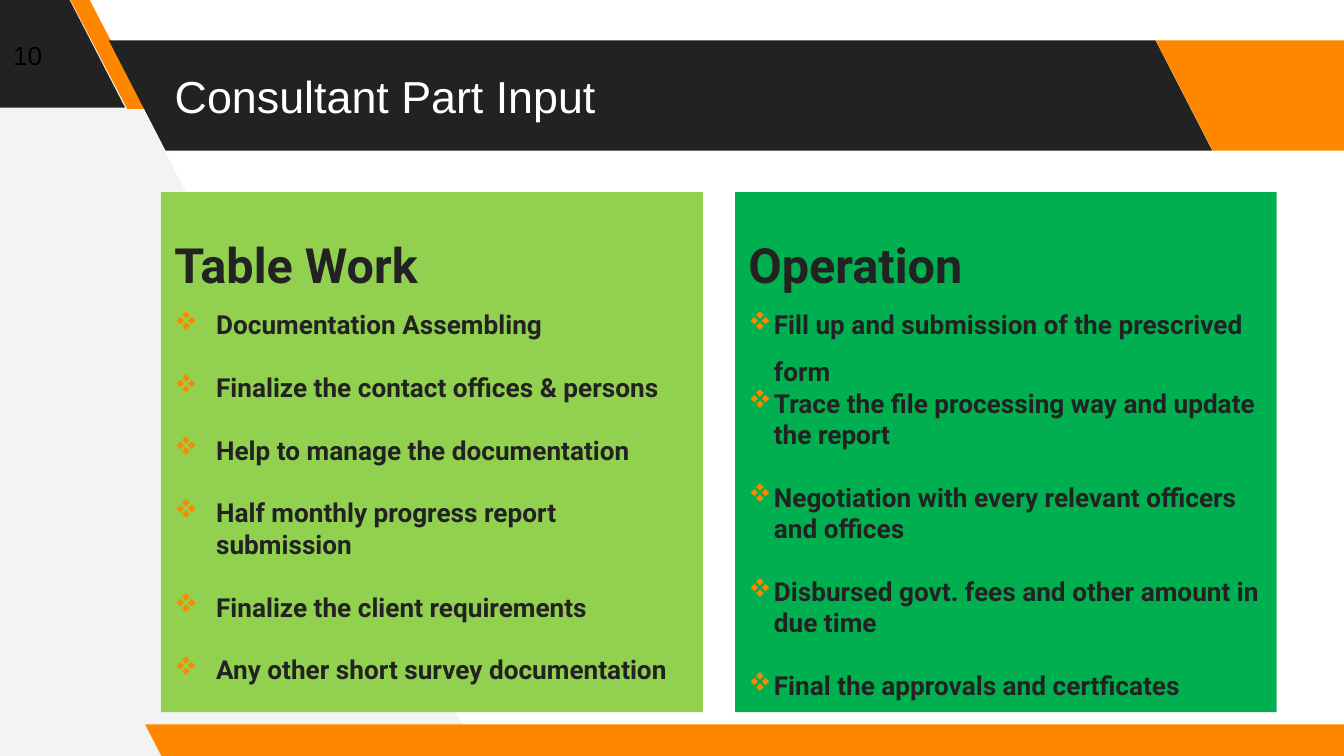
from lxml import etree
from pptx import Presentation
from pptx.dml.color import RGBColor
from pptx.enum import shapes, text
from pptx.oxml import ns
from pptx.util import Inches, Pt

THEME = dict(dark="222222", accent="FF8700", pale="F3F3F3", white="FFFFFF",
             black="000000", lime="92D050", green="00B050",
             head=26, title=24, body=14, gap=16.8, sans="Arial", bold="Roboto",
             mark="Wingdings")

TITLE = "Consultant Part Input"
NUMBER = "10"
# Each item: text, line spacing, blank line before it
CARDS = [
    dict(head="Table Work", fill="lime", indent=0.31, items=[
        ("Documentation Assembling", 1.5, False),
        ("Finalize the contact offices & persons", 1, True),
        ("Help to manage the documentation", 1, True),
        ("Half monthly progress report submission", 1, True),
        ("Finalize the client requirements", 1, True),
        ("Any other short survey documentation", 1, True)]),
    dict(head="Operation", fill="green", indent=0.19, items=[
        ("Fill up and submission of the prescrived form", 1.5, False),
        ("Trace the file processing way and update the report", 1, False),
        ("Negotiation with every relevant officers and offices", 1, True),
        ("Disbursed govt. fees and other amount in due time", 1, True),
        ("Final the approvals and certficates", 1, True)]),
]
# Slanted bands: left, top, width, height, slant, colour
BANDS = [
    (-0.99, -0.02, 1.92, 0.82, 0.515, "dark"),
    (0.52, -0.01, 0.57, 0.82, 0.75, "accent"),
    (0.81, 0.3, 8.21, 0.82, 0.515, "dark"),
    (8.6, 0.3, 1.92, 0.82, 0.515, "accent"),
    (1.08, 5.39, 9.15, 0.25, 0.515, "accent"),
]
WEDGE = [(3.56, 5.62), (0.62, -0.04), (-0.06, -0.04), (-0.02, 5.66)]
LEFT, TOP, WIDE, TALL, STEP = 1.2, 1.43, 4.03, 3.87, 4.27


def color(name):
    return RGBColor.from_string(THEME[name])


def paint(shape, name):
    shape.shadow.inherit = False
    shape.fill.solid()
    shape.fill.fore_color.rgb = color(name)
    shape.line.fill.background()


def frame(shape, anchor):
    body = shape.text_frame
    values = dict(word_wrap=True, auto_size=text.MSO_AUTO_SIZE.NONE,
                  vertical_anchor=anchor)
    for side in ("left", "top", "right", "bottom"):
        values["margin_" + side] = Inches(0.1)
    for key, value in values.items():
        setattr(body, key, value)
    return body


def write(para, words, size, face, ink, bold=False, spacing=1, before=0):
    run = para.add_run()
    run.text = words
    for key, value in dict(alignment=text.PP_ALIGN.LEFT, line_spacing=float(spacing),
                           space_before=Pt(before), space_after=Pt(0)).items():
        setattr(para, key, value)
    for key, value in dict(size=Pt(THEME[size]), name=THEME[face], bold=bold).items():
        setattr(run.font, key, value)
    run.font.color.rgb = color(ink)


def bullet(para, indent):
    """Add a diamond bullet, which is the letter v in the symbol font."""
    props = para._p.get_or_add_pPr()
    props.set("marL", str(Inches(indent)))
    props.set("indent", str(-Inches(indent)))
    tint = etree.SubElement(props, ns.qn("a:buClr"))
    etree.SubElement(tint, ns.qn("a:srgbClr"), val=THEME["accent"])
    etree.SubElement(props, ns.qn("a:buFont"), typeface=THEME["mark"], charset="2")
    etree.SubElement(props, ns.qn("a:buChar"), char="v")


def band(slide, left, top, wide, tall, slant, fill):
    shape = slide.shapes.add_shape(shapes.MSO_SHAPE.PARALLELOGRAM,
                                   *map(Inches, (left, top, wide, tall)))
    shape.adjustments[0] = slant
    shape._element.spPr.xfrm.set("flipH", "1")
    paint(shape, fill)


def card(slide, left, data):
    shape = slide.shapes.add_shape(shapes.MSO_SHAPE.RECTANGLE,
                                   *map(Inches, (left, TOP, WIDE, TALL)))
    paint(shape, data["fill"])
    body = frame(shape, text.MSO_ANCHOR.TOP)
    write(body.paragraphs[0], data["head"], "head", "bold", "dark", True, 1.5)
    for words, spacing, gap in data["items"]:
        para = body.add_paragraph()
        bullet(para, data["indent"])
        write(para, words, "body", "bold", "dark", True, spacing,
              THEME["gap"] if gap else 0)


def main():
    deck = Presentation()
    deck.slide_width = Inches(10)
    deck.slide_height = deck.slide_width * 9 // 16
    slide = deck.slides.add_slide(deck.slide_layouts[5])

    points = [(Inches(x), Inches(y)) for x, y in WEDGE]
    build = slide.shapes.build_freeform(*points[0])
    build.add_line_segments(points[1:], close=True)
    paint(build.convert_to_shape(), "pale")
    for row in BANDS:
        band(slide, *row)
    for col, data in enumerate(CARDS):
        card(slide, LEFT + col * STEP, data)

    title = slide.shapes.title
    slide.shapes._spTree.append(title._element)
    for key, value in dict(left=LEFT, top=0.3, width=8.28, height=0.82).items():
        setattr(title, key, Inches(value))
    body = frame(title, text.MSO_ANCHOR.MIDDLE)
    write(body.paragraphs[0], TITLE, "title", "sans", "white")

    label = slide.shapes.add_textbox(*map(Inches, (0, 0.16, 0.6, 0.5)))
    body = frame(label, text.MSO_ANCHOR.MIDDLE)
    write(body.paragraphs[0], NUMBER, "body", "sans", "black")

    deck.save("out.pptx")


if __name__ == "__main__":
    main()
